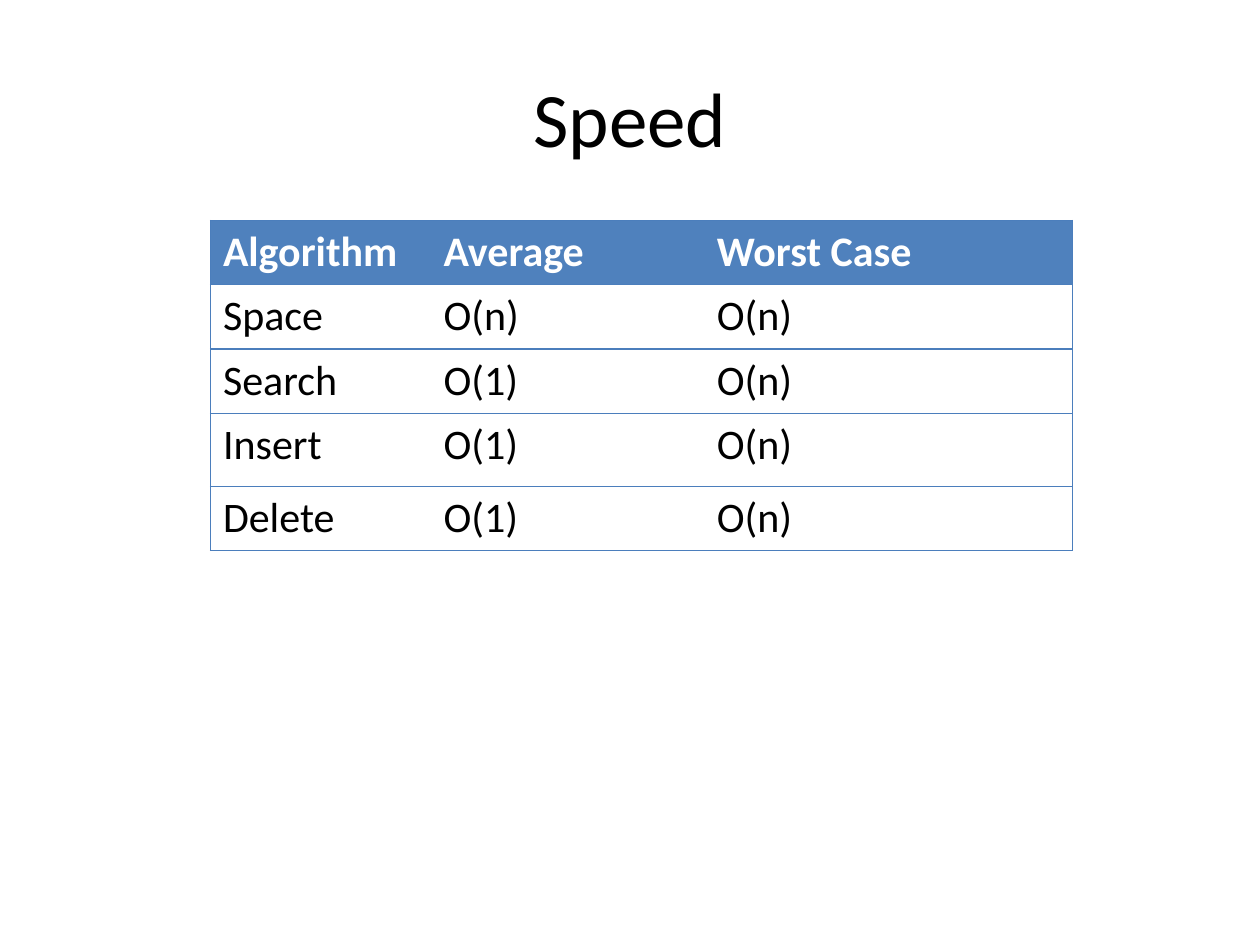
from dataclasses import dataclass

from lxml.etree import SubElement
from pptx import Presentation
from pptx.dml.color import RGBColor as RGB
from pptx.enum.text import MSO_ANCHOR as Anchor, PP_ALIGN as Align
from pptx.oxml.ns import qn
from pptx.util import Inches, Pt

COLORS = {"ink": "000000", "paper": "FFFFFF", "header": "4F81BD", "rule": "4B7EBC"}
FONT = "Calibri"
NO_GRID_STYLE = "{2D5ABB26-0587-4C30-8999-92F81FD0307C}"
COL_WIDTHS = (1.75, 2.17, 2.92)
ROW_HEIGHT = 0.51


@dataclass(frozen=True)
class Row:
    texts: tuple[str, str, str]
    height: float = ROW_HEIGHT
    header: bool = False


ROWS = (
    Row(("Algorithm", "Average", "Worst Case"), header=True),
    Row(("Space", "O(n)", "O(n)")),
    Row(("Search", "O(1)", "O(n)")),
    Row(("Insert", "O(1)", "O(n)"), height=0.58),
    Row(("Delete", "O(1)", "O(n)")),
)


def add_run(p, text: str, size: int, color: str, bold: bool = False) -> None:
    r = p.add_run()
    r.text = text
    r.font.name, r.font.size, r.font.bold = FONT, Pt(size), bold
    r.font.color.rgb = RGB.from_string(COLORS[color])


def add_title(s, text: str) -> None:
    sp = s.shapes.add_textbox(Inches(0.5), Inches(0.3), Inches(9), Inches(1.25))
    tf = sp.text_frame
    tf.word_wrap, tf.vertical_anchor = True, Anchor.MIDDLE
    p = tf.paragraphs[0]
    p.alignment = Align.CENTER
    add_run(p, text, 44, "ink")


def add_borders(cell, sides: str) -> None:
    tc_pr = cell._tc.get_or_add_tcPr()
    for i, side in enumerate(sides):
        ln = SubElement(tc_pr, qn(f"a:ln{side}"), w=str(Pt(0.75)))
        fill = SubElement(ln, qn("a:solidFill"))
        SubElement(fill, qn("a:srgbClr"), val=COLORS["rule"])
        tc_pr.insert(i, ln)


def add_speed_table(s, rows: tuple[Row, ...]) -> None:
    height = sum(row.height for row in rows)
    frame = s.shapes.add_table(
        len(rows), len(COL_WIDTHS), Inches(1.67), Inches(1.75),
        Inches(sum(COL_WIDTHS)), Inches(height))
    table = frame.table
    table.horz_banding = False
    table._tbl.tblPr.find(qn("a:tableStyleId")).text = NO_GRID_STYLE
    for col, width in zip(table.columns, COL_WIDTHS):
        col.width = Inches(width)
    last = len(COL_WIDTHS) - 1
    for i, row in enumerate(rows):
        table.rows[i].height = Inches(row.height)
        for j, text in enumerate(row.texts):
            cell = table.cell(i, j)
            if row.header:
                cell.fill.solid()
                cell.fill.fore_color.rgb = RGB.from_string(COLORS["header"])
            else:
                cell.fill.background()
            add_run(cell.text_frame.paragraphs[0], text, 24,
                    "paper" if row.header else "ink", row.header)
            add_borders(cell, "L" * (j == 0) + "R" * (j == last) + "TB")


def main() -> None:
    """Build the slide comparing average and worst-case speed."""
    prs = Presentation()
    prs.slide_width, prs.slide_height = Inches(10), Inches(7.5)
    s = prs.slides.add_slide(prs.slide_layouts[6])
    add_title(s, "Speed")
    add_speed_table(s, ROWS)
    prs.save("out.pptx")


main()
